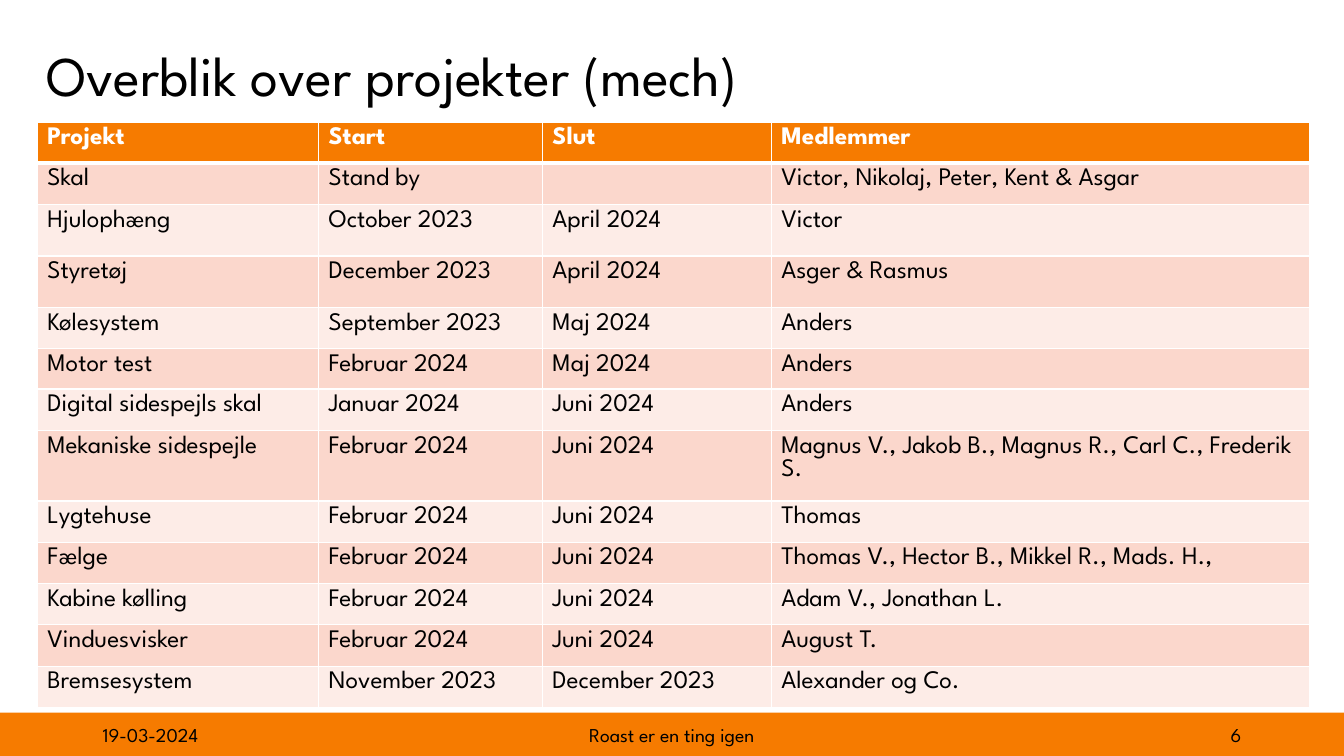
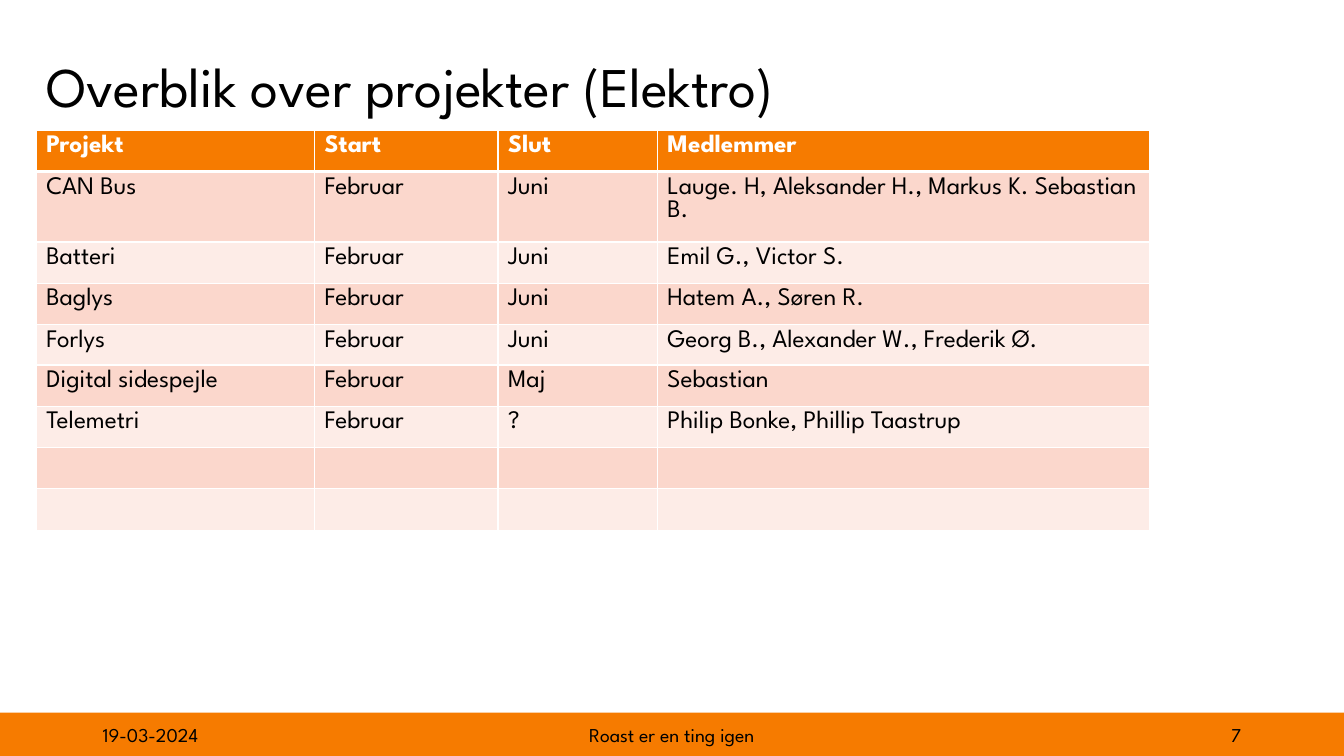
from lxml import etree
from pptx import Presentation
from pptx import util as u
from pptx.dml.color import RGBColor
from pptx.enum import shapes, text
from pptx.oxml.ns import qn

FONT = "League Spartan"
COLORS = {
    "accent": "F67B00",
    "band_dark": "FBD7CC",
    "band_light": "FDECE7",
    "ink": "000000",
    "paper": "FFFFFF",
}
SLIDE_W, SLIDE_H = 13.33, 7.5
FOOTER_TOP = 7.07
ROW_H = 0.41
HEADINGS = ("Projekt", "Start", "Slut", "Medlemmer")
DATE, MOTTO = "19-03-2024", "Roast er en ting igen"

MECH_PROJECTS = [
    ("Skal", "Stand by", "", "Victor, Nikolaj, Peter, Kent & Asgar"),
    ("Hjulophæng", "October 2023", "April 2024", "Victor"),
    ("Styretøj", "December 2023", "April 2024", "Asger & Rasmus"),
    ("Kølesystem", "September 2023", "Maj 2024", "Anders"),
    ("Motor test", "Februar 2024", "Maj 2024", "Anders"),
    ("Digital sidespejls skal", "Januar 2024", "Juni 2024", "Anders"),
    ("Mekaniske sidespejle", "Februar 2024", "Juni 2024",
     "Magnus V., Jakob B., Magnus R., Carl C., Frederik S."),
    ("Lygtehuse", "Februar 2024", "Juni 2024", "Thomas"),
    ("Fælge", "Februar 2024", "Juni 2024",
     "Thomas V., Hector B., Mikkel R., Mads. H.,"),
    ("Kabine kølling", "Februar 2024", "Juni 2024", "Adam V., Jonathan L."),
    ("Vinduesvisker", "Februar 2024", "Juni 2024", "August T."),
    ("Bremsesystem", "November 2023", "December 2023", "Alexander og Co."),
]
ELECTRO_PROJECTS = [
    ("CAN Bus", "Februar", "Juni",
     "Lauge. H, Aleksander H., Markus K. Sebastian B."),
    ("Batteri", "Februar", "Juni", "Emil G., Victor S."),
    ("Baglys", "Februar", "Juni", "Hatem A., Søren R."),
    ("Forlys", "Februar", "Juni", "Georg B., Alexander W., Frederik Ø."),
    ("Digital sidespejle", "Februar", "Maj", "Sebastian"),
    ("Telemetri", "Februar", "?", "Philip Bonke, Phillip Taastrup"),
    ("", "", "", ""),
    ("", "", "", ""),
]


def rgb(name):
    return RGBColor.from_string(COLORS[name])


def inches(box):
    return [u.Inches(length) for length in box]


def style_runs(paragraph, size, color="ink", bold=False):
    for run in paragraph.runs:
        run.font.name = FONT
        run.font.size = u.Pt(size)
        run.font.bold = bold
        run.font.color.rgb = rgb(color)


def add_label(slide, box, wording, size, align=text.PP_ALIGN.LEFT):
    frame = slide.shapes.add_textbox(*inches(box)).text_frame
    frame.word_wrap = True
    frame.vertical_anchor = text.MSO_ANCHOR.MIDDLE
    frame.text = wording
    paragraph = frame.paragraphs[0]
    paragraph.alignment = align
    style_runs(paragraph, size)
    return paragraph


def add_title(slide, box, wording):
    add_label(slide, box, wording, 40).line_spacing = 0.9


def add_footer(slide, box, number):
    left, top, width, height = box
    band = slide.shapes.add_shape(shapes.MSO_SHAPE.RECTANGLE, *inches(box))
    band.shadow.inherit = False
    band.fill.solid()
    band.fill.fore_color.rgb = rgb("accent")
    band.line.fill.background()

    # Date, motto and slide number
    side_w, motto_w, margin = 3, 4.5, 0.92
    parts = [
        (margin, side_w, DATE, text.PP_ALIGN.LEFT),
        ((width - motto_w) / 2, motto_w, MOTTO, text.PP_ALIGN.CENTER),
        (width - margin - side_w, side_w, str(number), text.PP_ALIGN.RIGHT),
    ]
    for offset, part_w, wording, align in parts:
        add_label(slide, (left + offset, top + 0.02, part_w, 0.4),
                  wording, 14, align)


def set_borders(cell, top=1, bottom=1):
    properties = cell._tc.get_or_add_tcPr()
    for side, points in (("L", 1), ("R", 1), ("T", top), ("B", bottom)):
        line = etree.SubElement(properties, qn(f"a:ln{side}"),
                                w=str(u.Pt(points)))
        fill = etree.SubElement(line, qn("a:solidFill"))
        etree.SubElement(fill, qn("a:srgbClr"), val=COLORS["paper"])


def add_project_table(slide, left, top, col_widths, projects, row_heights):
    """row_heights maps a row index to a height other than ROW_H."""
    rows = [HEADINGS, *projects]
    heights = [row_heights.get(r, ROW_H) for r in range(len(rows))]
    box = (left, top, sum(col_widths), sum(heights))
    table = slide.shapes.add_table(len(rows), len(HEADINGS),
                                   *inches(box)).table
    for column, width in zip(table.columns, col_widths):
        column.width = u.Inches(width)

    for r, (row, height) in enumerate(zip(rows, heights)):
        table.rows[r].height = u.Inches(height)
        heading = r == 0
        band = "accent" if heading else ("band_light", "band_dark")[r % 2]
        for c, wording in enumerate(row):
            cell = table.cell(r, c)
            # Thick rule between the headings and the projects
            set_borders(cell, top=3 if r == 1 else 1,
                        bottom=3 if heading else 1)
            cell.fill.solid()
            cell.fill.fore_color.rgb = rgb(band)
            cell.text_frame.text = wording
            style_runs(cell.text_frame.paragraphs[0], 18,
                       "paper" if heading else "ink", heading)


def add_overview(deck, number, title, title_top, **table):
    slide = deck.slides.add_slide(deck.slide_layouts[6])
    add_footer(slide, (0, FOOTER_TOP, SLIDE_W, SLIDE_H - FOOTER_TOP), number)
    add_title(slide, (0.36, title_top, 11.23, 1.45), title)
    add_project_table(slide, **table)


def main():
    deck = Presentation()
    deck.slide_width, deck.slide_height = inches((SLIDE_W, SLIDE_H))

    # Mechanical projects
    add_overview(deck, 6, "Overblik over projekter (mech)", 0.05,
                 left=0.37, top=1.21, col_widths=(2.79, 2.22, 2.27, 5.34),
                 projects=MECH_PROJECTS,
                 row_heights={2: 0.51, 3: 0.51, 5: 0.38})

    # Electrical projects
    add_overview(deck, 7, "Overblik over projekter (Elektro)", 0.16,
                 left=0.36, top=1.29, col_widths=(2.76, 1.82, 1.58, 4.88),
                 projects=ELECTRO_PROJECTS, row_heights={4: 0.33})

    deck.save("out.pptx")


if __name__ == "__main__":
    main()
